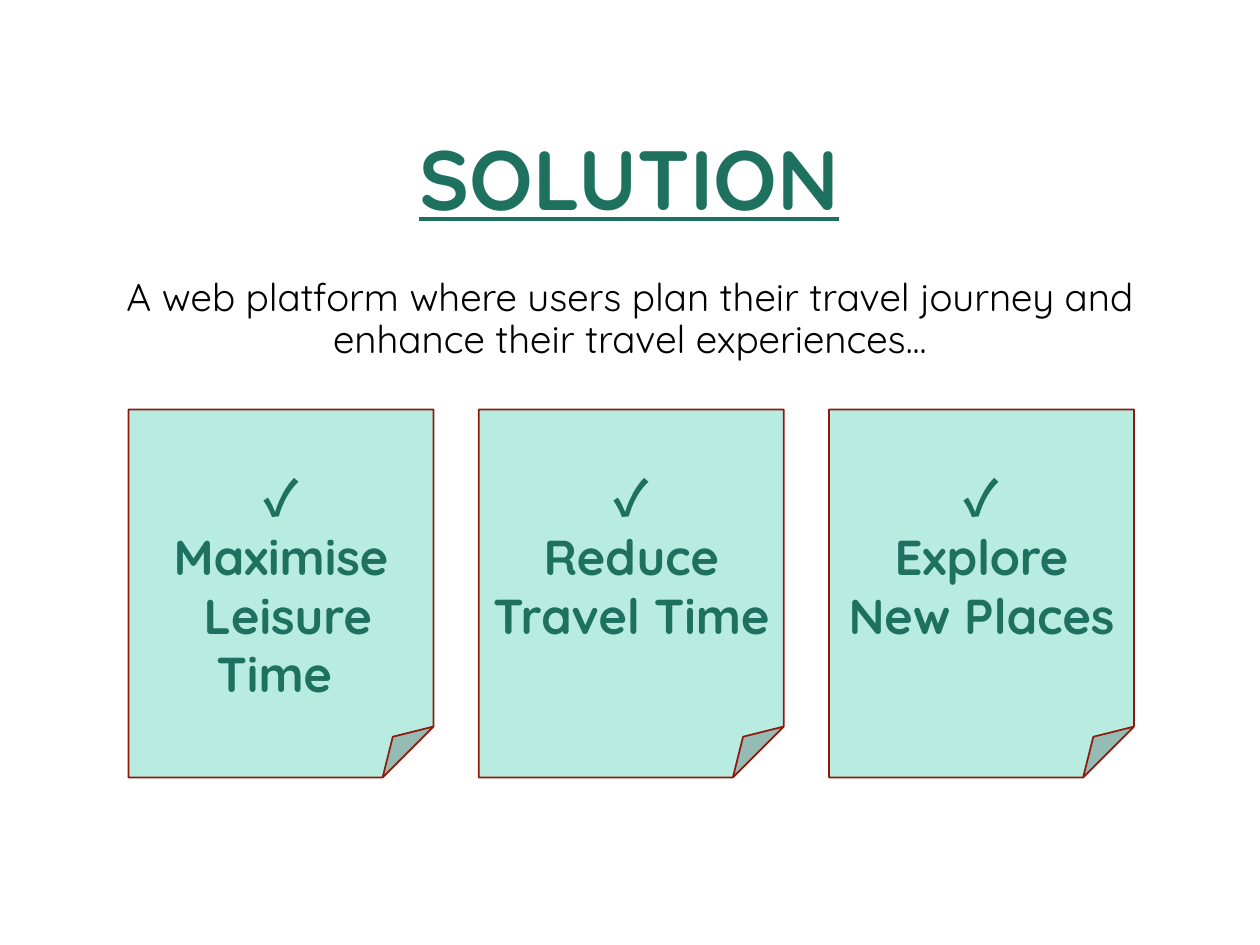
import pptx
import pptx.dml.color
import pptx.enum.shapes
import pptx.enum.text
import pptx.oxml
import pptx.oxml.ns
import pptx.util

COLORS = {"green": "1F715F", "mint": "B9ECE1", "maroon": "91190A", "black": "000000"}
TEXT_FONT = "Quicksand"
TICK_FONT = "Noto Sans CJK JP"
CARD_LEFT, CARD_TOP, CARD_STEP = 1.02, 3.25, 2.78
CARD_WIDTH, CARD_HEIGHT = 2.42, 2.92
TICK_INSET = 0.46

TITLE_FORMAT = {"size": pptx.util.Pt(48), "bold": True, "underline": True}
INTRO_FORMAT = {"size": pptx.util.Pt(22)}
CARD_FORMAT = {"size": pptx.util.Pt(28), "bold": True}

BENEFITS = [
    ["Maximise", " Leisure Time "],
    ["Reduce Travel Time"],
    ["Explore", "New Places"],
]


def rgb(color):
    return pptx.dml.color.RGBColor.from_string(COLORS[color])


def place(shape, left, top, width, height):
    box = {"left": left, "top": top, "width": width, "height": height}
    for side, inches in box.items():
        setattr(shape, side, pptx.util.Inches(inches))


def write(paragraph, text, color, text_format, typeface=TEXT_FONT, spacing=1.0):
    """Put one centred run in the paragraph."""
    paragraph.alignment = pptx.enum.text.PP_ALIGN.CENTER
    paragraph.line_spacing = spacing
    run = paragraph.add_run()
    run.text = text
    font = run.font
    for attribute, value in {**text_format, "name": typeface}.items():
        setattr(font, attribute, value)
    font.color.rgb = rgb(color)
    # Symbols such as the tick take the East Asian typeface.
    east_asian = pptx.oxml.parse_xml(
        f'<a:ea {pptx.oxml.ns.nsdecls("a")} typeface="{typeface}"/>'
    )
    run.font._element.append(east_asian)


def add_title(slide, text):
    title = slide.shapes.title
    place(title, 1.51, 0.75, 6.97, 1.41)
    title.text_frame.vertical_anchor = pptx.enum.text.MSO_ANCHOR.MIDDLE
    write(title.text_frame.paragraphs[0], text, "green", TITLE_FORMAT, spacing=0.9)


def add_intro(slide, text):
    intro = slide.shapes.add_textbox(0, 0, 0, 0)
    place(intro, 0.65, 2.16, 8.7, 1.0)
    intro.text_frame.word_wrap = True
    write(intro.text_frame.paragraphs[0], text, "black", INTRO_FORMAT, spacing=0.9)


def add_card(slide, column, benefit_lines):
    """Add a folded note with a tick above its benefit."""
    card = slide.shapes.add_shape(
        pptx.enum.shapes.MSO_SHAPE.FOLDED_CORNER, 0, 0, 0, 0
    )
    place(card, CARD_LEFT + column * CARD_STEP, CARD_TOP, CARD_WIDTH, CARD_HEIGHT)
    card.shadow.inherit = False
    card.fill.solid()
    card.fill.fore_color.rgb = rgb("mint")
    card.line.color.rgb = rgb("maroon")
    card.line.width = pptx.util.Pt(1)

    frame = card.text_frame
    frame.word_wrap = True
    frame.vertical_anchor = pptx.enum.text.MSO_ANCHOR.TOP
    frame.margin_top = pptx.util.Inches(TICK_INSET)
    write(frame.paragraphs[0], "✓", "green", CARD_FORMAT, TICK_FONT)
    for line in benefit_lines:
        write(frame.add_paragraph(), line, "green", CARD_FORMAT)


def main():
    presentation = pptx.Presentation()
    presentation.slide_width = pptx.util.Inches(10)
    presentation.slide_height = pptx.util.Inches(7.5)
    slide = presentation.slides.add_slide(presentation.slide_layouts[5])

    add_title(slide, "SOLUTION")
    add_intro(
        slide,
        "A web platform where users plan their travel journey and "
        "enhance their travel experiences...",
    )
    for column, benefit_lines in enumerate(BENEFITS):
        add_card(slide, column, benefit_lines)

    presentation.save("out.pptx")


if __name__ == "__main__":
    main()
